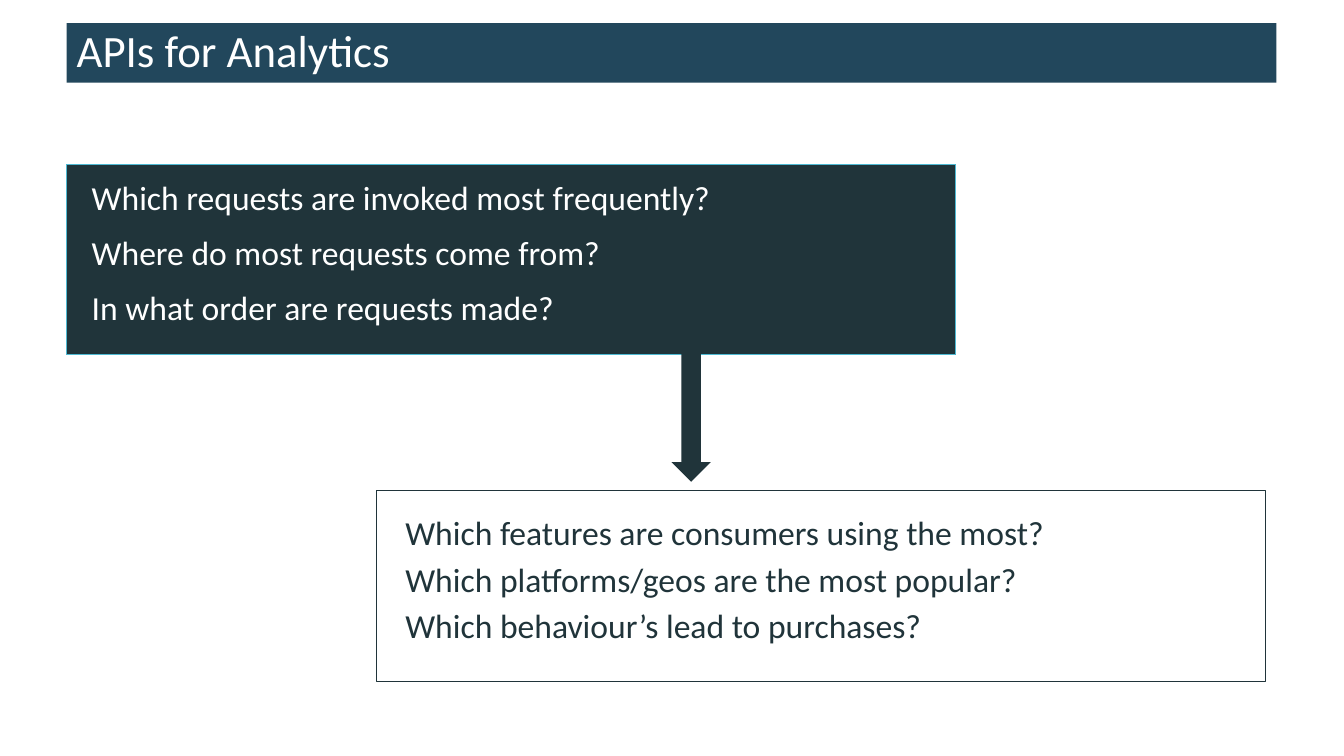
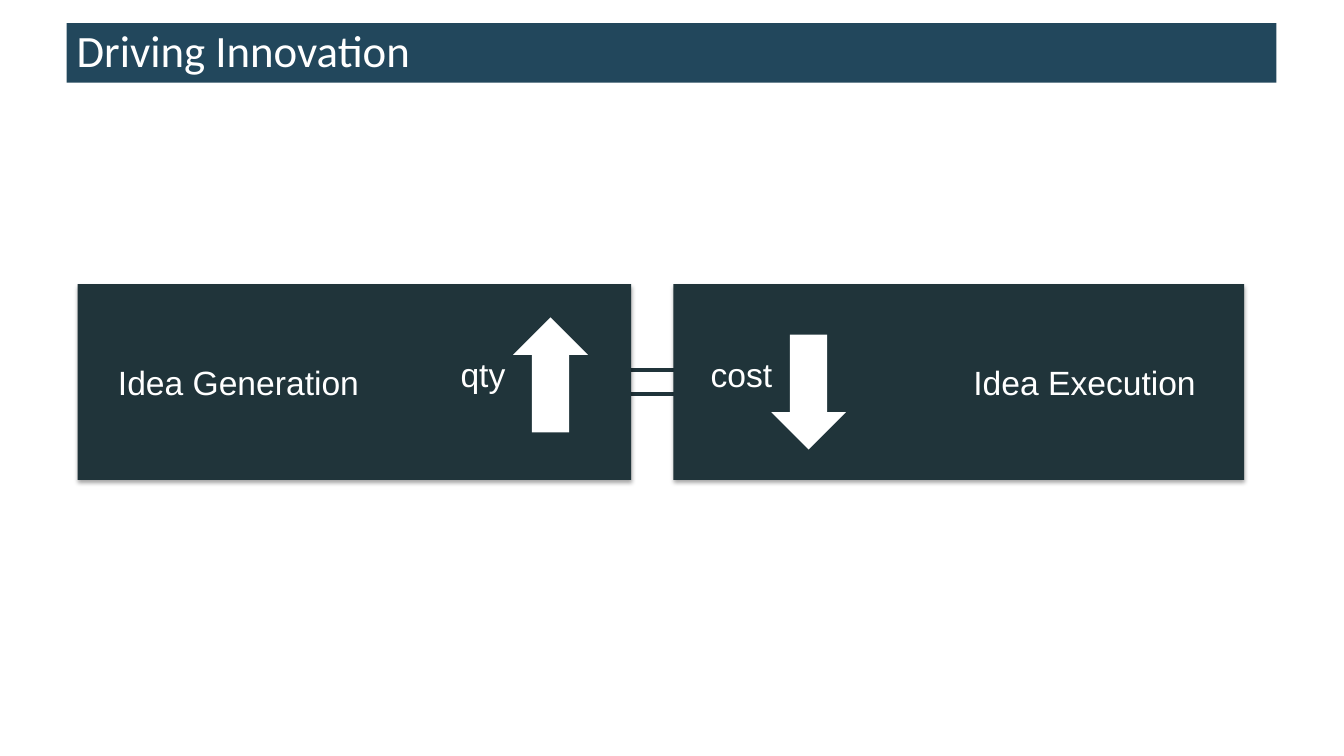
from lxml import etree
from pptx import Presentation
from pptx.dml.color import RGBColor
from pptx.enum.shapes import MSO_SHAPE
from pptx.enum.text import MSO_ANCHOR, MSO_AUTO_SIZE, PP_ALIGN
from pptx.oxml.ns import qn
from pptx.util import Inches, Pt

RECTANGLE, DOWN, UP = MSO_SHAPE.RECTANGLE, MSO_SHAPE.DOWN_ARROW, MSO_SHAPE.UP_ARROW
TOP, MIDDLE = MSO_ANCHOR.TOP, MSO_ANCHOR.MIDDLE
LEFT, RIGHT = PP_ALIGN.LEFT, PP_ALIGN.RIGHT

NAVY = RGBColor(0x22, 0x47, 0x5C)
SLATE = RGBColor(0x20, 0x34, 0x3A)
CYAN = RGBColor(0x4E, 0xB9, 0xD2)
WHITE = RGBColor(0xFF, 0xFF, 0xFF)

TITLE_BAND = (0.66, 0.23, 12, 0.59)
TITLE_AND_BODY, TITLE_ONLY = 1, 5

REQUEST_QUESTIONS = [
    "Which requests are invoked most frequently?",
    "Where do most requests come from?",
    "In what order are requests made?",
]
BUSINESS_QUESTIONS = [
    "Which features are consumers using the most?",
    "Which platforms/geos are the most popular?",
    "Which behaviour’s lead to purchases?",
]
QUESTION_SIZE = (8.82, 1.89)

STAGE_TOP, STAGE_HEIGHT = 2.82, 1.94
STAGES = [
    ("Idea Generation", 0.77, 5.49, LEFT),
    ("Idea Execution", 6.68, 5.66, RIGHT),
]
TRENDS = [
    ("qty", 4.47, UP, 5.09, 3.15),
    ("cost", 6.95, DOWN, 7.65, 3.32),
]


def place(shape, box):
    shape.left, shape.top, shape.width, shape.height = map(Inches, box)


def paint(shape, fill, line=None, weight=0.75):
    shape.fill.solid()
    shape.fill.fore_color.rgb = fill
    if line is None:
        shape.line.fill.background()
    else:
        shape.line.color.rgb = line
        shape.line.width = Pt(weight)


def add_block(slide, preset, box, fill, line=None, weight=0.75):
    block = slide.shapes.add_shape(preset, *map(Inches, box))
    block.shadow.inherit = False
    paint(block, fill, line, weight)
    return block


def write(shape, lines, color, font="Calibri", size=24, margins=(0.1, 0.05, 0.1, 0.05),
          anchor=TOP, align=LEFT, before=0, after=0, spacing=1.0):
    frame = shape.text_frame
    frame.text = "\n".join(lines)
    frame.word_wrap = True
    frame.auto_size = MSO_AUTO_SIZE.NONE
    frame.vertical_anchor = anchor
    (frame.margin_left, frame.margin_top,
     frame.margin_right, frame.margin_bottom) = map(Inches, margins)
    for index, paragraph in enumerate(frame.paragraphs):
        paragraph.alignment = align
        paragraph.line_spacing = spacing
        paragraph.space_before = Pt(before if index else 0)
        paragraph.space_after = Pt(after)
        for run in paragraph.runs:
            run.font.name = font
            run.font.size = Pt(size)
            run.font.color.rgb = color


def remove_bullets(shape):
    for paragraph in shape.text_frame.paragraphs:
        properties = paragraph._p.get_or_add_pPr()
        properties.set("marL", "0")
        properties.set("indent", "0")
        etree.SubElement(properties, qn("a:buNone"))


def add_soft_shadow(shape):
    effects = shape._element.spPr.find(qn("a:effectLst"))
    shadow = etree.SubElement(effects, qn("a:outerShdw"), blurRad=str(Pt(3.1)),
                              dist=str(Pt(1.8)), dir="5400000", rotWithShape="0")
    tint = etree.SubElement(shadow, qn("a:srgbClr"), val="000000")
    etree.SubElement(tint, qn("a:alpha"), val="35000")


def add_titled_slide(deck, layout, title):
    slide = deck.slides.add_slide(deck.slide_layouts[layout])
    band = slide.shapes.title
    place(band, TITLE_BAND)
    paint(band, NAVY)
    write(band, [title], WHITE, size=32, anchor=MIDDLE, spacing=0.9)
    return slide


def build_analytics(deck):
    slide = add_titled_slide(deck, TITLE_AND_BODY, "APIs for Analytics")
    requests = slide.placeholders[1]
    place(requests, (0.66, 1.63, *QUESTION_SIZE))
    paint(requests, SLATE, CYAN)
    write(requests, REQUEST_QUESTIONS, WHITE, margins=(0.25, 0.12, 0.1, 0.05),
          before=8, after=2.7)
    remove_bullets(requests)

    business = add_block(slide, RECTANGLE, (3.73, 4.87, *QUESTION_SIZE), WHITE, SLATE)
    write(business, BUSINESS_QUESTIONS, SLATE, margins=(0.29, 0.21, 0.1, 0.05), before=4.5)
    add_block(slide, DOWN, (6.66, 3.51, 0.39, 1.27), SLATE)


def build_innovation(deck):
    slide = add_titled_slide(deck, TITLE_ONLY, "Driving Innovation")
    add_block(slide, RECTANGLE, (6.2, 3.67, 0.59, 0.24), WHITE, SLATE, 3)
    for name, left, width, align in STAGES:
        stage = add_block(slide, RECTANGLE, (left, STAGE_TOP, width, STAGE_HEIGHT), SLATE)
        add_soft_shadow(stage)
        write(stage, [name], WHITE, font="Arial", margins=(0.4, 0.05, 0.48, 0.05),
              anchor=MIDDLE, align=align)
    for measure, left, direction, arrow_left, arrow_top in TRENDS:
        add_block(slide, direction, (arrow_left, arrow_top, 0.74, 1.14), WHITE)
        label = slide.shapes.add_textbox(*map(Inches, (left, 3.46, 0.9, 0.5)))
        write(label, [measure], WHITE, font="Arial")


def main():
    deck = Presentation()
    deck.slide_width, deck.slide_height = Inches(13.33), Inches(7.5)
    build_analytics(deck)
    build_innovation(deck)
    deck.save("out.pptx")


if __name__ == "__main__":
    main()
